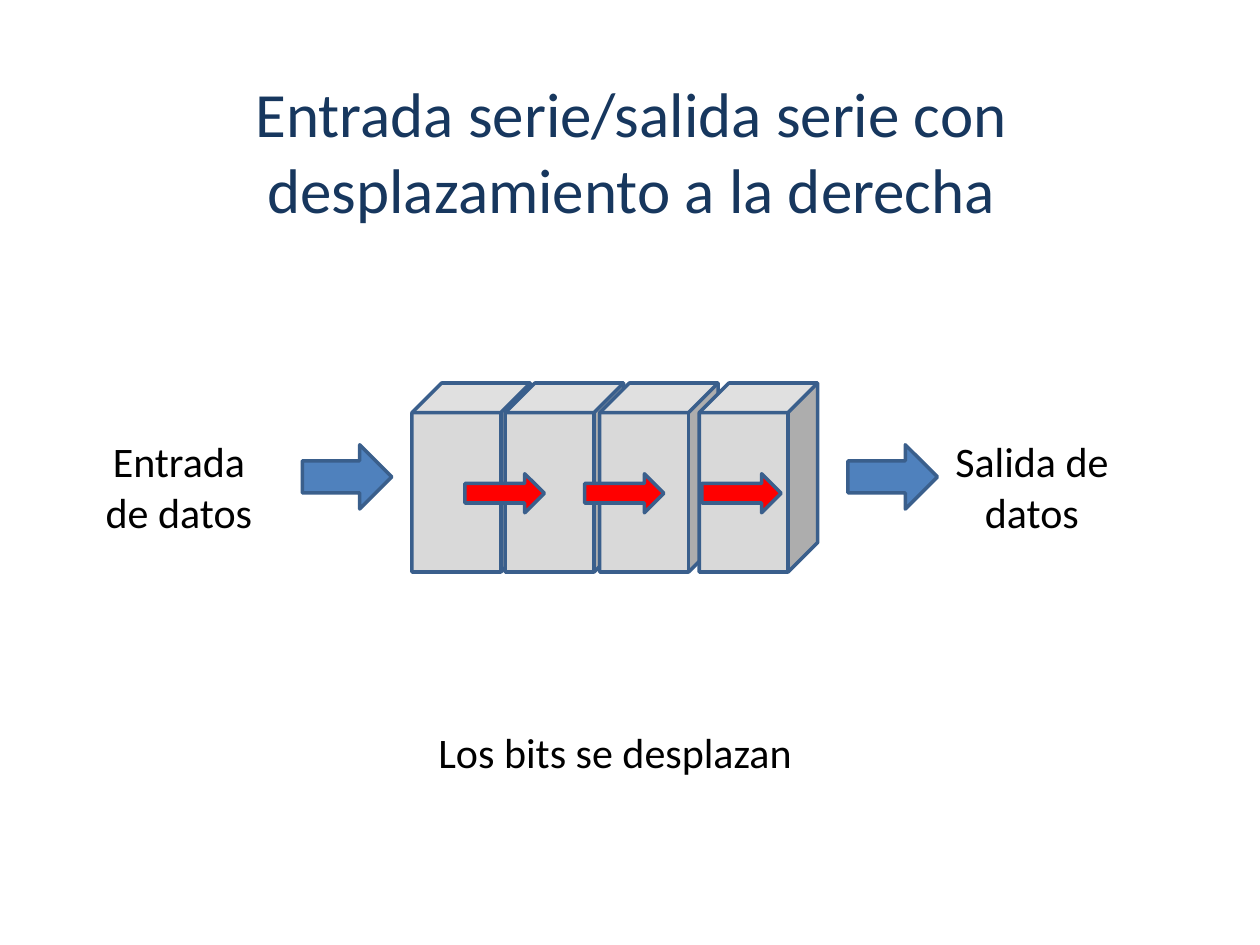
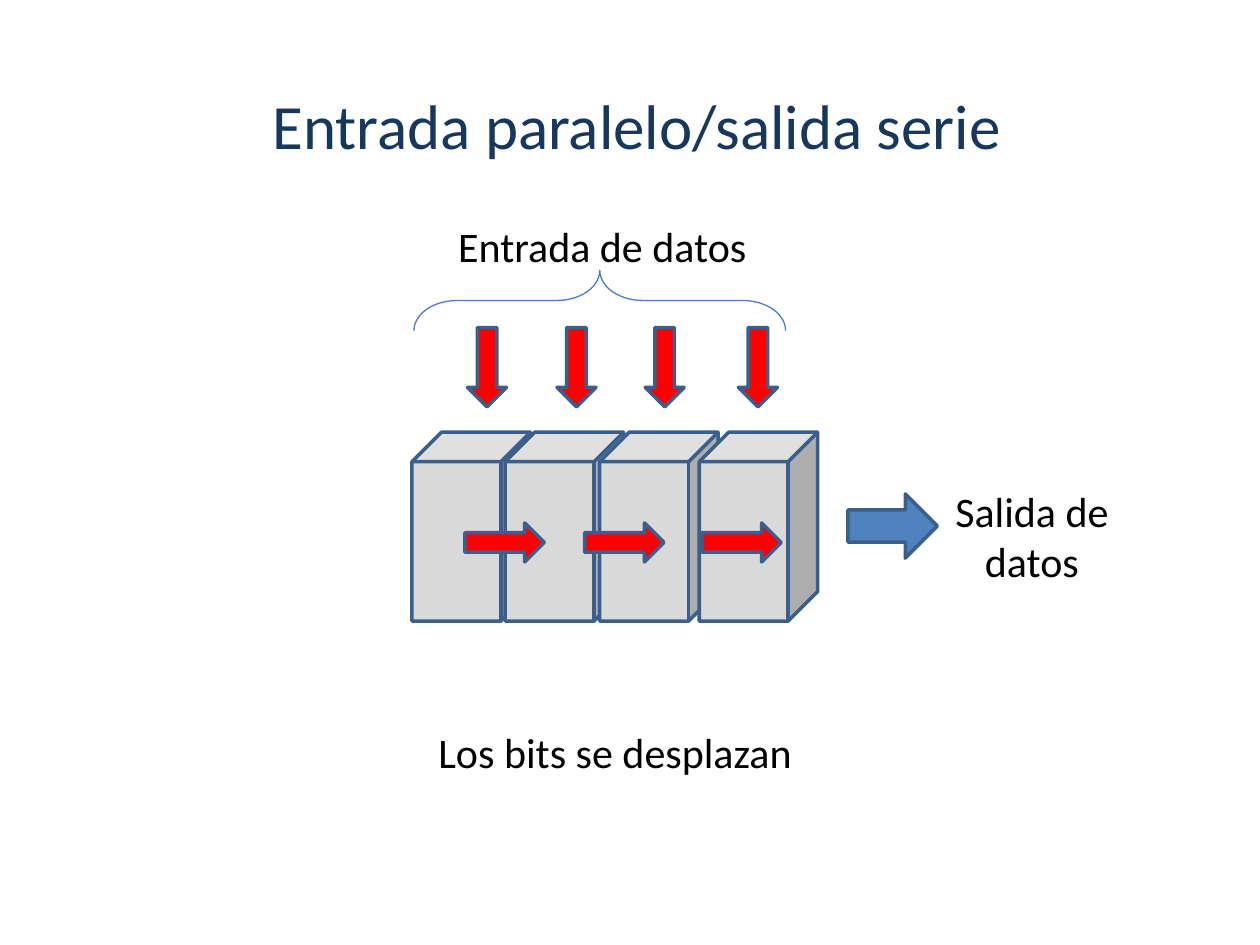
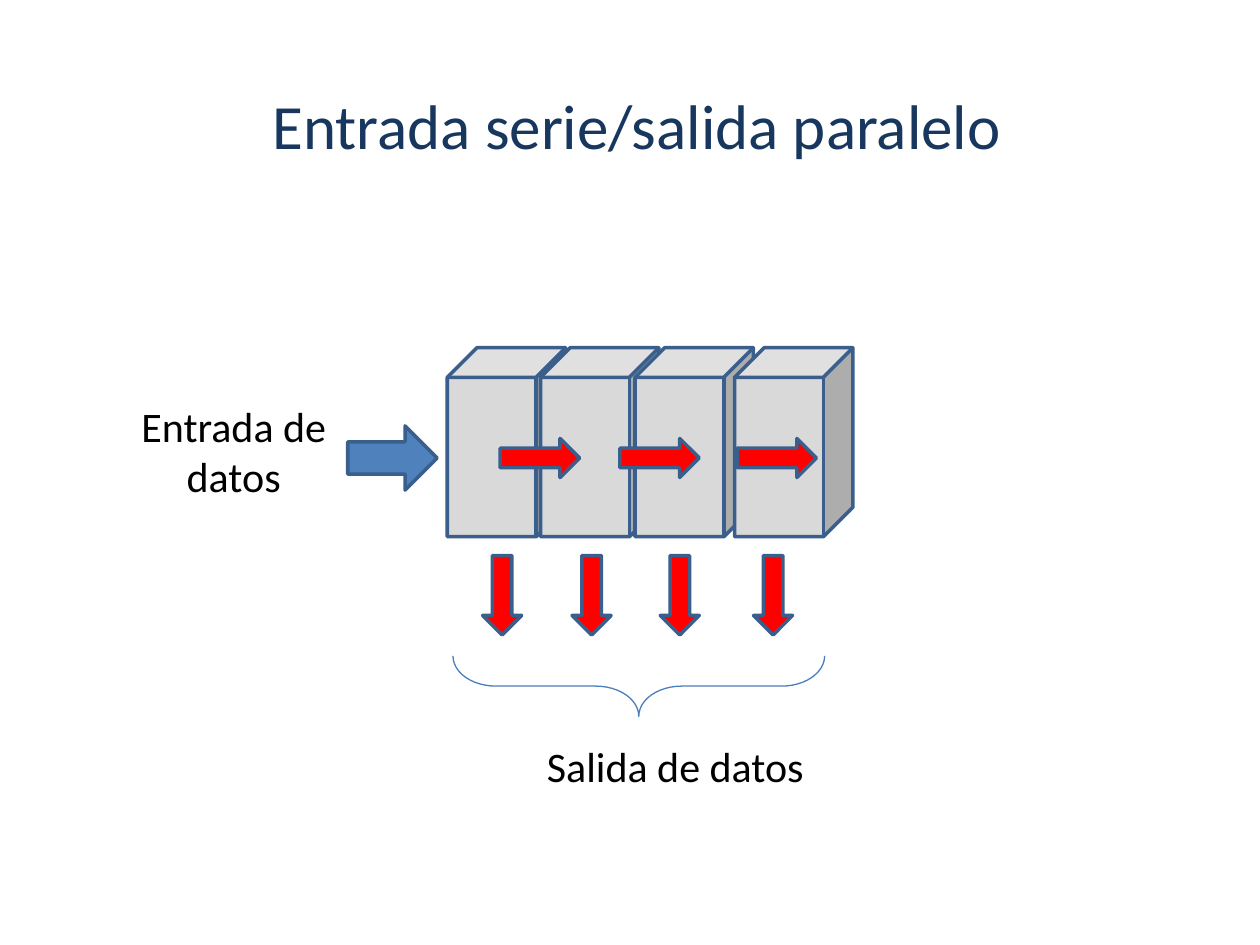
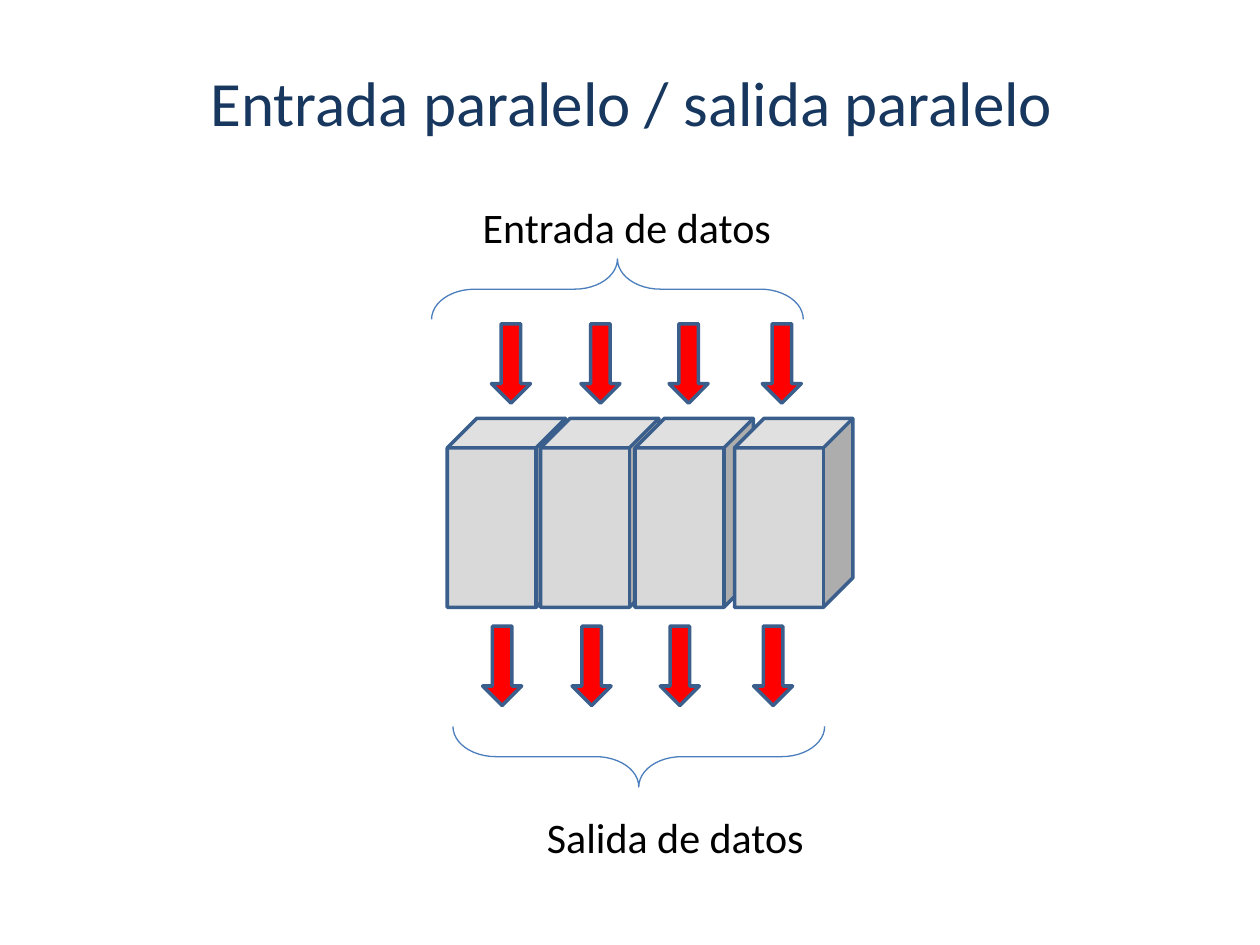
from pptx import Presentation
from pptx import util as u
from pptx.dml.color import RGBColor
from pptx.enum import shapes, text

NAVY = RGBColor(0x17, 0x37, 0x5E)
BLACK = RGBColor(0x00, 0x00, 0x00)
GREY = RGBColor(0xD9, 0xD9, 0xD9)
BLUE = RGBColor(0x4F, 0x81, 0xBD)
RED = RGBColor(0xFF, 0x00, 0x00)
OUTLINE = RGBColor(0x3A, 0x5F, 0x8C)
BRACE_BLUE = RGBColor(0x4B, 0x7E, 0xBC)

FONT = "Calibri"
SLIDE_WIDTH, SLIDE_HEIGHT = u.Inches(10), u.Inches(7.5)
CELL = SLIDE_WIDTH // 10  # the grid has 10 columns and 7.5 rows

# Columns measured from the left edge of the register or of the arrow row
CUBE_STEPS = (0, 0.74, 1.49, 2.28)
SHIFT_STEPS = (0.42, 1.37, 2.3)
PARALLEL_STEPS = (0, 0.71, 1.41, 2.15)


def cells(*lengths):
    return [round(length * CELL) for length in lengths]


def write(frame, words, size, color):
    frame.word_wrap = True
    paragraph = frame.paragraphs[0]
    paragraph.alignment = text.PP_ALIGN.CENTER
    run = paragraph.add_run()
    run.text = words
    run.font.name = FONT
    run.font.size = u.Pt(size)
    run.font.color.rgb = color


def new_slide(deck, heading, left, top, height=1.25):
    slide = deck.slides.add_slide(deck.slide_layouts[5])
    title = slide.shapes.title
    title.left, title.top, title.width, title.height = cells(left, top, 9, height)
    title.text_frame.vertical_anchor = text.MSO_ANCHOR.MIDDLE
    write(title.text_frame, heading, 36, NAVY)
    return slide


def add_label(slide, words, left, top, width, rows=1):
    height = 0.5 if rows == 1 else 0.91
    label = slide.shapes.add_textbox(*cells(left, top, width, height))
    label.text_frame.auto_size = text.MSO_AUTO_SIZE.SHAPE_TO_FIT_TEXT
    write(label.text_frame, words, 24, BLACK)


def add_solid(parent, kind, box, fill, rotation=0):
    solid = parent.shapes.add_shape(kind, *cells(*box))
    solid.shadow.inherit = False
    solid.fill.solid()
    solid.fill.fore_color.rgb = fill
    solid.line.color.rgb = OUTLINE
    solid.line.width = u.Pt(2)
    solid.rotation = rotation


def add_register(slide, left, top):
    """Four memory cells, grouped."""
    register = slide.shapes.add_group_shape()
    for step in CUBE_STEPS:
        add_solid(register, shapes.MSO_SHAPE.CUBE, (left + step, top, 0.94, 1.5), GREY)


def add_serial_arrow(slide, left, top):
    add_solid(slide, shapes.MSO_SHAPE.RIGHT_ARROW, (left, top, 0.71, 0.51), BLUE)


def add_bit_arrows(slide, left, top, steps, rotation=0):
    for step in steps:
        add_solid(slide, shapes.MSO_SHAPE.RIGHT_ARROW,
                  (left + step, top, 0.63, 0.31), RED, rotation)


def add_shifting_register(slide, left, top):
    add_register(slide, left, top)
    add_bit_arrows(slide, left, top + 0.72, SHIFT_STEPS)


def add_parallel_arrows(slide, left, top):
    add_bit_arrows(slide, left, top, PARALLEL_STEPS, rotation=90)


def add_brace(slide, left, top, rotation):
    brace = slide.shapes.add_shape(shapes.MSO_SHAPE.LEFT_BRACE,
                                   *cells(left, top, 0.48, 2.95))
    brace.adjustments[0], brace.adjustments[1] = 0.71, 0.5
    brace.shadow.inherit = False
    brace.fill.background()
    brace.line.color.rgb = BRACE_BLUE
    brace.line.width = u.Pt(0.75)
    brace.rotation = rotation


def add_serial_output(slide, register_top):
    add_serial_arrow(slide, 6.73, register_top + 0.49)
    add_label(slide, "Salida de datos", 7.44, register_top + 0.37, 1.5, rows=2)
    add_label(slide, "Los bits se desplazan ", 2.95, 5.72, 3.94)


def add_parallel_output(slide, register_top):
    add_parallel_arrows(slide, 3.67, register_top + 1.81)
    add_brace(slide, 4.83, register_top + 1.21, 270)
    add_label(slide, "Salida de datos", 4.02, register_top + 3.07, 2.68)


def serial_to_serial(deck):
    slide = new_slide(deck, "Entrada serie/salida serie con desplazamiento a la derecha",
                      0.51, 0.57)
    top = 3.04
    add_shifting_register(slide, 3.27, top)
    add_serial_arrow(slide, 2.4, top + 0.49)
    add_label(slide, "Entrada de datos", 0.67, top + 0.37, 1.5, rows=2)
    add_serial_output(slide, top)


def parallel_to_serial(deck):
    slide = new_slide(deck, "Entrada paralelo/salida serie ", 0.61, 0.36)
    top = 3.43
    add_shifting_register(slide, 3.27, top)
    add_label(slide, "Entrada de datos", 3.27, 1.7, 3.02)
    add_serial_output(slide, top)
    add_parallel_arrows(slide, 3.55, 2.76)
    add_brace(slide, 4.52, 0.91, 90)


def serial_to_parallel(deck):
    slide = new_slide(deck, "Entrada serie/salida paralelo ", 0.61, 0.36)
    top = 2.76
    add_shifting_register(slide, 3.55, top)
    add_serial_arrow(slide, 2.76, top + 0.62)
    add_label(slide, "Entrada de datos", 0.95, top + 0.37, 1.81, rows=2)
    add_parallel_output(slide, top)


def parallel_to_parallel(deck):
    slide = new_slide(deck, "Entrada paralelo / salida paralelo ", 0.57, 0.3, 1.01)
    top = 3.32
    add_register(slide, 3.55, top)
    add_label(slide, "Entrada de datos", 3.44, 1.55, 3.07)
    add_parallel_output(slide, top)
    add_parallel_arrows(slide, 3.74, 2.73)
    add_brace(slide, 4.66, 0.82, 90)


def main():
    deck = Presentation()
    deck.slide_width, deck.slide_height = SLIDE_WIDTH, SLIDE_HEIGHT
    serial_to_serial(deck)
    parallel_to_serial(deck)
    serial_to_parallel(deck)
    parallel_to_parallel(deck)
    deck.save("out.pptx")


if __name__ == "__main__":
    main()
